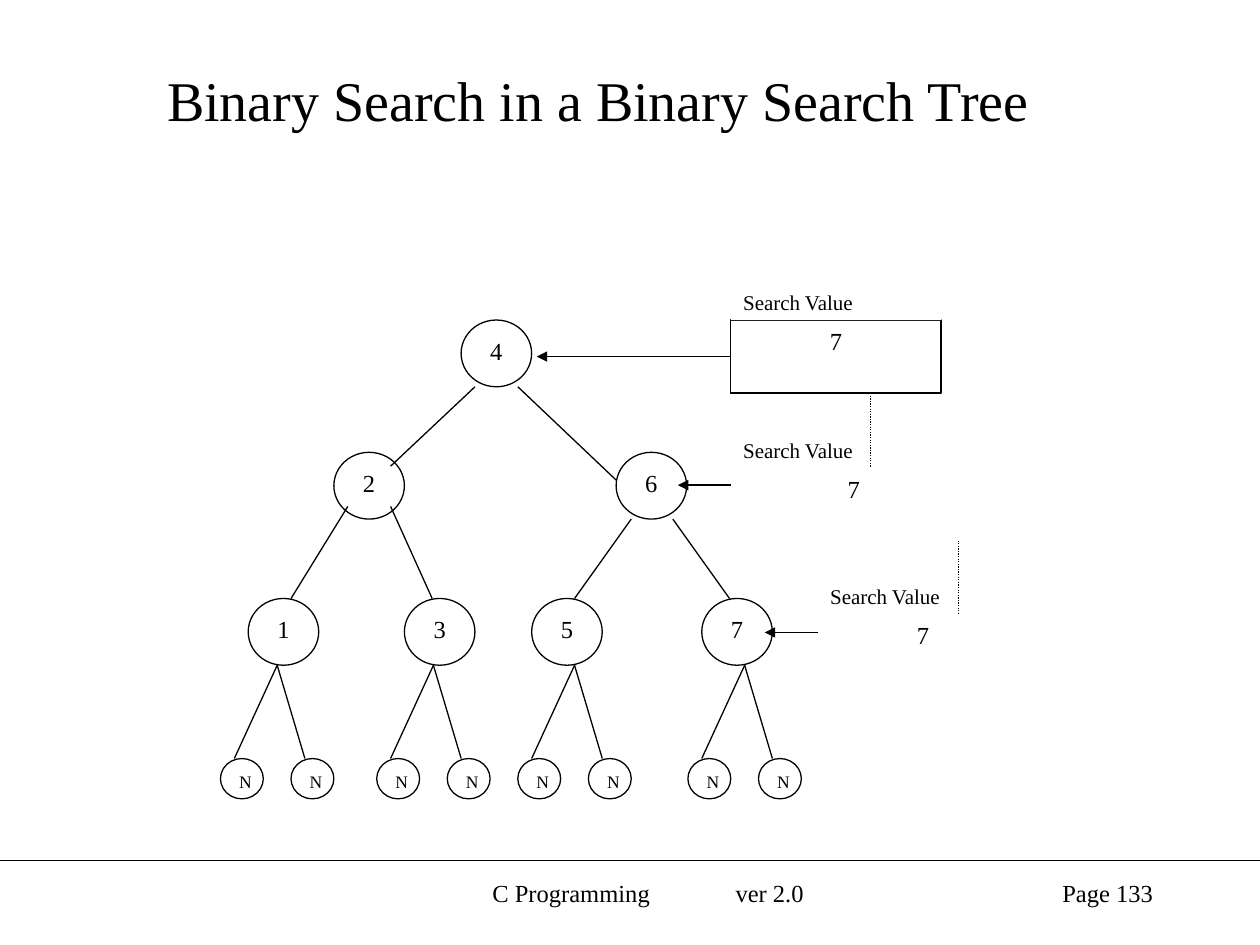
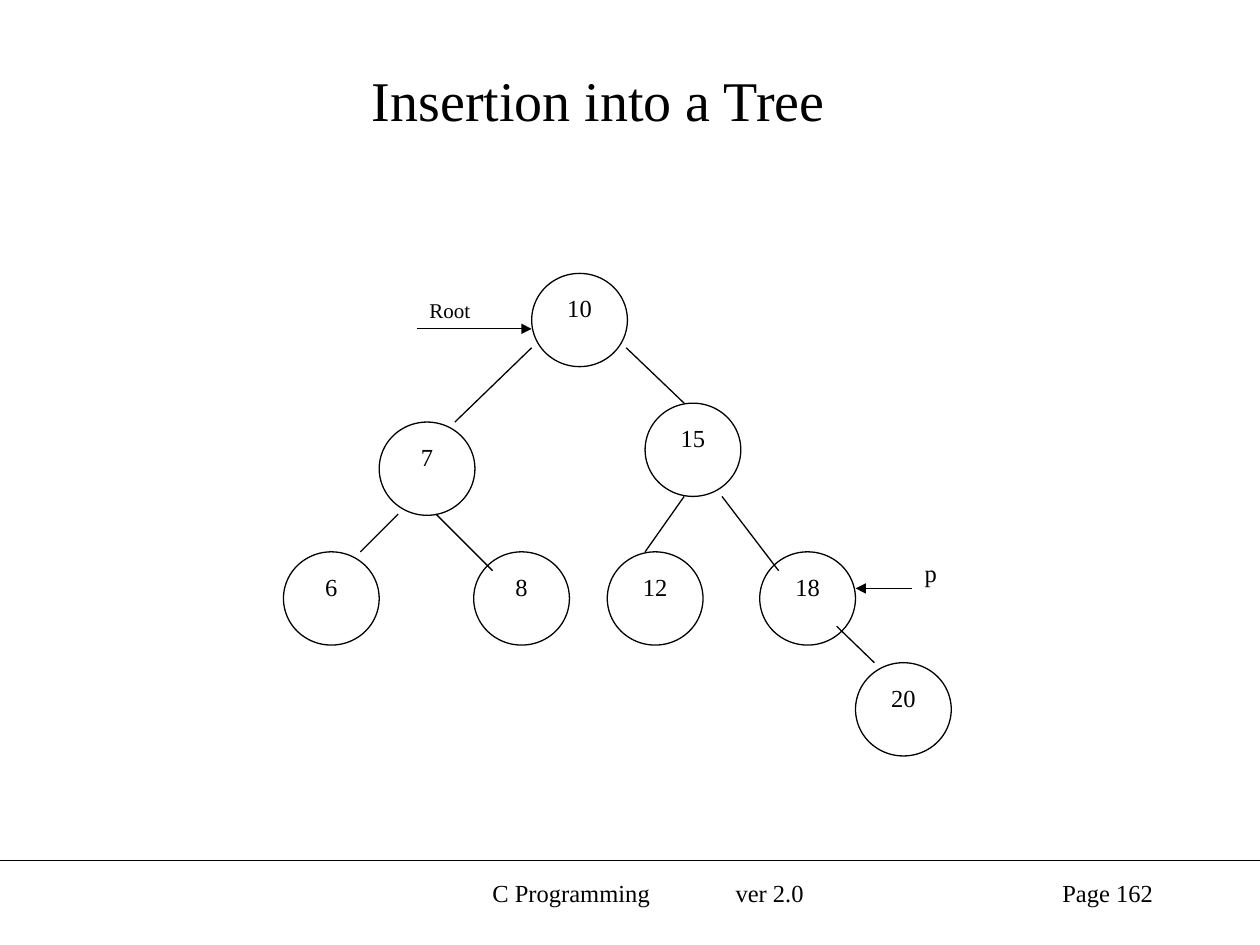
from lxml import etree
from pptx import Presentation
from pptx.dml.color import RGBColor
from pptx.enum import dml, shapes, text
from pptx.oxml.ns import qn
from pptx.util import Inches, Pt

COLORS = {"ink": "000000", "paper": "FFFFFF"}
FONT = "Times New Roman"
LEFT, CENTER, RIGHT = text.PP_ALIGN.LEFT, text.PP_ALIGN.CENTER, text.PP_ALIGN.RIGHT

SEARCH = {
    "title": "Binary Search in a Binary Search Tree",
    "page": "Page 133",
    "node_size": (0.56, 0.53),
    "nodes": [("4", 3.66, 2.54), ("2", 2.65, 3.59), ("6", 4.89, 3.59),
              ("1", 1.97, 4.75), ("3", 3.21, 4.75), ("5", 4.22, 4.75), ("7", 5.57, 4.75)],
    "edges": [(3.77, 3.07, 3.1, 3.7), (4.11, 3.07, 4.89, 3.81),
              (2.76, 4.02, 2.31, 4.75), (3.1, 4.02, 3.43, 4.75),
              (5.01, 4.12, 4.56, 4.75), (5.34, 4.12, 5.79, 4.75)],
}
NULL_PAIR_LEFTS = [1.75, 2.99, 4.11, 5.46]
NULL_SIZE = (0.34, 0.32)
NULL_TOP, NULL_STEM_TOP = 6.02, 5.28
# left, top and width of the value box, then the tip and height of its arrow
SEARCH_STEPS = [(5.8, 2.54, 1.67, 4.26, 2.83),
                (5.8, 3.71, 1.95, 5.38, 3.85),
                (6.49, 4.87, 1.67, 6.07, 5.02)]
SEARCH_DROPS = [(6.91, 3.12, 6.91, 3.71), (7.61, 4.29, 7.61, 4.87)]

INSERTION = {
    "title": "Insertion into a Tree",
    "page": "Page 162",
    "node_size": (0.76, 0.74),
    "nodes": [("10", 4.22, 2.17), ("7", 3.01, 3.35), ("15", 5.12, 3.2), ("6", 2.25, 4.38),
              ("8", 3.76, 4.38), ("12", 4.82, 4.38), ("18", 6.03, 4.38), ("20", 6.79, 5.26)],
    "edges": [(4.22, 2.76, 3.61, 3.35), (4.97, 2.76, 5.43, 3.2),
              (3.16, 4.08, 2.86, 4.38), (3.46, 4.08, 3.91, 4.53),
              (5.43, 3.94, 5.12, 4.38), (5.73, 3.94, 6.18, 4.53),
              (6.64, 4.97, 6.94, 5.26)],
}
INSERTION_POINTERS = [(3.31, 2.61, 4.22, 2.61), (7.24, 4.67, 6.79, 4.67)]
INSERTION_LABELS = [("Root", (3.31, 2.31, 0.76, 0.29), 12), ("p", (7.24, 4.38, 0.76, 0.44), 14)]


def color(name):
    return RGBColor.from_string(COLORS[name])


def write(shape, words, size, align):
    para = shape.text_frame.paragraphs[0]
    para.text = words
    para.alignment = align
    para.font.name = FONT
    para.font.size = Pt(size)
    para.font.color.rgb = color("ink")


def add_box(slide, words, place, size=14, align=CENTER, kind="RECTANGLE", outlined=True):
    box = slide.shapes.add_shape(shapes.MSO_SHAPE[kind], *map(Inches, place))
    box.shadow.inherit = False
    box.fill.solid()
    box.fill.fore_color.rgb = color("paper")
    if outlined:
        box.line.color.rgb = color("ink")
        box.line.width = Pt(0.75)
    else:
        box.line.fill.background()
    box.text_frame.word_wrap = True
    box.text_frame.vertical_anchor = text.MSO_ANCHOR.TOP
    write(box, words, size, align)


def add_line(slide, ends, arrow=False, dotted=False):
    line = slide.shapes.add_connector(shapes.MSO_CONNECTOR.STRAIGHT, *map(Inches, ends))
    line.line.color.rgb = color("ink")
    line.line.width = Pt(0.75)
    if dotted:
        line.line.dash_style = dml.MSO_LINE.ROUND_DOT
    properties = line._element.spPr
    if arrow:
        etree.SubElement(properties.find(qn("a:ln")), qn("a:tailEnd"), type="triangle")
    etree.SubElement(properties, qn("a:effectLst"))


def add_footer(slide, page):
    add_line(slide, (0, 6.83, 10, 6.83))
    course = slide.shapes.add_textbox(*map(Inches, (3.81, 6.92, 3.03, 0.5)))
    para = course.text_frame.paragraphs[0]
    tabs = etree.SubElement(para._p.get_or_add_pPr(), qn("a:tabLst"))
    etree.SubElement(tabs, qn("a:tab"), pos=str(Inches(1.93)), algn="l")
    write(course, "C Programming\tver 2.0", 14, LEFT)
    number = slide.shapes.add_textbox(*map(Inches, (7.17, 6.92, 2.08, 0.5)))
    write(number, page, 14, RIGHT)
    for box in (course, number):
        box.text_frame.word_wrap = True


def add_tree_slide(deck, tree):
    """Add a slide with the title, the footer and the tree's nodes and edges."""
    slide = deck.slides.add_slide(deck.slide_layouts.get_by_name("Title Only"))
    title = slide.shapes.title
    title.left, title.top, title.width, title.height = map(Inches, (0.5, 0.25, 8.5, 1.08))
    title.text_frame.vertical_anchor = text.MSO_ANCHOR.MIDDLE
    write(title, tree["title"], 32, CENTER)
    add_footer(slide, tree["page"])
    for key, left, top in tree["nodes"]:
        add_box(slide, key, (left, top, *tree["node_size"]), kind="OVAL")
    for ends in tree["edges"]:
        add_line(slide, ends)
    return slide


def add_null_children(slide):
    for pair_left in NULL_PAIR_LEFTS:
        for left in (pair_left, pair_left + 0.56):
            add_box(slide, "N", (left, NULL_TOP, *NULL_SIZE), size=10, kind="OVAL")
            add_line(slide, (pair_left + 0.45, NULL_STEM_TOP, left + 0.11, NULL_TOP))


def add_search_steps(slide):
    for step, (left, top, width, tip, height) in enumerate(SEARCH_STEPS):
        add_box(slide, "7", (left, top, width, 0.58), outlined=step == 0)
        add_box(slide, "Search Value", (left, top - 0.29, 1.67, 0.29), 12, LEFT, outlined=False)
        add_line(slide, (left, height, tip, height), arrow=True)
    for ends in SEARCH_DROPS:
        add_line(slide, ends, dotted=True)


def main():
    deck = Presentation()
    deck.slide_width, deck.slide_height = Inches(10), Inches(7.5)

    search = add_tree_slide(deck, SEARCH)
    add_null_children(search)
    add_search_steps(search)

    insertion = add_tree_slide(deck, INSERTION)
    for ends in INSERTION_POINTERS:
        add_line(insertion, ends, arrow=True)
    for words, place, size in INSERTION_LABELS:
        add_box(insertion, words, place, size, LEFT, outlined=False)

    deck.save("out.pptx")


if __name__ == "__main__":
    main()
